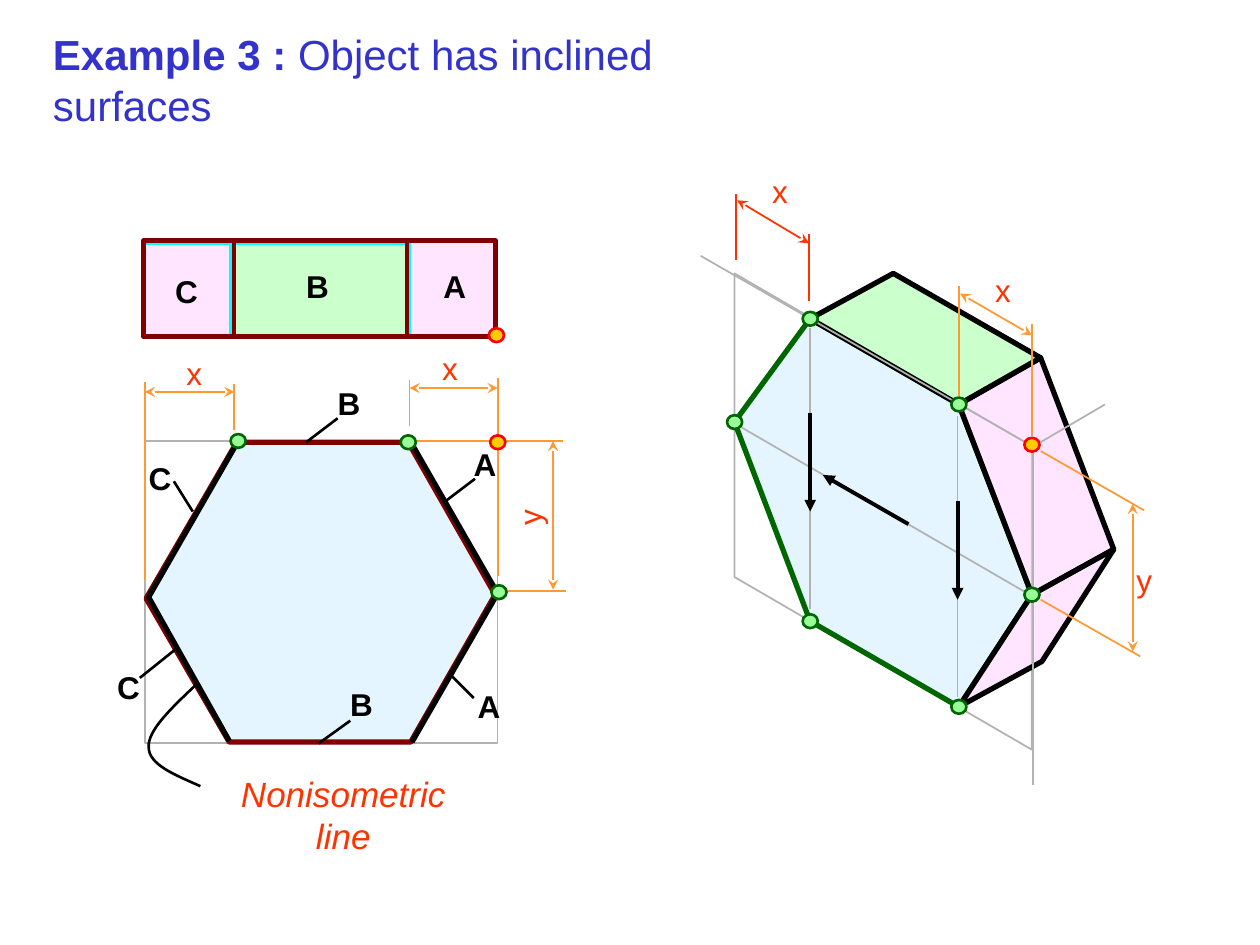
from lxml import etree
from pptx import Presentation
from pptx import util as u
from pptx.dml.color import RGBColor
from pptx.enum import shapes, text
from pptx.oxml import ns

Inches, Pt = u.Inches, u.Pt
COLORS = {
    "title": "3333CC", "red": "FF3300", "black": "000000", "grey": "B2B2B2",
    "orange": "FF9933", "maroon": "800000", "green": "006600", "cyan": "00FFFF",
    "blue_face": "CCECFF", "pink_face": "FFCCFF", "green_face": "99FF99",
    "yellow": "FFCC00", "dot_red": "FF0000",
}


def paint(sp, fill=None, line=None, width=1, solid=False):
    """Fill and outline a shape; faces are half transparent unless solid."""
    sp.shadow.inherit = False
    if fill:
        sp.fill.solid()
        sp.fill.fore_color.rgb = RGBColor.from_string(COLORS[fill])
        if not solid:
            clr = sp._element.spPr.find(".//" + ns.qn("a:srgbClr"))
            etree.SubElement(clr, ns.qn("a:alpha"), val="50000")
    else:
        sp.fill.background()
    if line:
        sp.line.color.rgb = RGBColor.from_string(COLORS[line])
        sp.line.width = Pt(width)
    else:
        sp.line.fill.background()


def write(p, words, color, **format_values):
    """Add a run in Arial with the given font attributes."""
    r = p.add_run()
    r.text = words
    r.font.color.rgb = RGBColor.from_string(COLORS[color])
    for name, value in {"name": "Arial", **format_values}.items():
        setattr(r.font, name, value)


prs = Presentation()
prs.slide_width, prs.slide_height = Inches(10), Inches(7.5)
slide = prs.slides.add_slide(prs.slide_layouts[5])
s = slide.shapes

# Title
title = s.title
title.left, title.top = Inches(0.32), Inches(0.18)
title.width, title.height = Inches(6.31), Inches(0.5)
tf = title.text_frame
tf.word_wrap = False
tf.vertical_anchor = text.MSO_ANCHOR.TOP
p = tf.paragraphs[0]
p.alignment = text.PP_ALIGN.LEFT
write(p, "Example 3 : ", "title", size=Pt(24), bold=True)
write(p, "Object has inclined surfaces", "title", size=Pt(24), bold=False)

# Front view frame and face, then the top view
RECT, HEXAGON = shapes.MSO_SHAPE.RECTANGLE, shapes.MSO_SHAPE.HEXAGON
for kind, x, y, w, h, fill, line, width in [
    (RECT, 1.15, 3.5, 2.8, 2.4, None, "grey", 1),
    (HEXAGON, 1.17, 3.51, 2.78, 2.4, "blue_face", None, 0),
    (RECT, 3.24, 1.92, 0.7, 0.75, "pink_face", "cyan", 1),
    (RECT, 1.85, 1.92, 1.39, 0.75, "green_face", "cyan", 3),
    (RECT, 1.14, 1.92, 0.7, 0.75, "pink_face", "cyan", 3),
    (RECT, 1.14, 1.91, 2.79, 0.76, None, "maroon", 3),
]:
    sp = s.add_shape(kind, Inches(x), Inches(y), Inches(w), Inches(h))
    if kind == HEXAGON:
        sp.adjustments[0] = 0.289
    paint(sp, fill, line, width)

# Corners of the isometric front face, and of the back edge
bottom, right, top_right = (7.61, 5.61), (8.19, 4.72), (7.61, 3.21)
top_left, left, bottom_left = (6.43, 2.53), (5.83, 3.35), (6.43, 4.93)
front_face = [bottom, right, top_right, top_left, left, bottom_left]
back_top_left, back_top = (7.09, 2.17), (8.26, 2.84)
back_right, back_bottom = (8.84, 4.36), (8.27, 5.25)

# Outlines and isometric faces
for points, closed, fill, line, width in [
    ([(8.19, 3.54), (5.83, 2.17), (5.83, 4.58), (8.19, 5.95)], True, None, "grey", 1),
    ([(1.88, 3.51), (3.24, 3.51), (3.93, 4.72), (3.26, 5.89), (1.82, 5.89), (1.16, 4.75)],
     True, None, "maroon", 3),
    (front_face, True, "blue_face", "green", 3),
    ([right, back_right, back_top, top_right], True, "pink_face", "black", 3),
    ([back_top_left, top_left, top_right, back_top], True, "green_face", "black", 3),
    ([back_bottom, bottom, right, back_right], True, "pink_face", "black", 3),
    ([(1.88, 3.52), (1.18, 4.74), (1.82, 5.88)], False, None, "black", 3),
    ([(3.25, 3.49), (3.95, 4.71), (3.27, 5.89)], False, None, "black", 3),
]:
    corners = [(Inches(x), Inches(y)) for x, y in points]
    fb = s.build_freeform(*corners[0])
    fb.add_line_segments(corners[1:], close=closed)
    paint(fb.convert_to_shape(), fill, line, width)

# Curved leader: each three segments become one Bezier curve
controls = [(1.39, 6.15), (1.18, 6.07), (1.18, 5.93), (1.17, 5.8), (1.36, 5.62), (1.55, 5.44)]
fb = s.build_freeform(Inches(1.59), Inches(6.24))
fb.add_line_segments([(Inches(x), Inches(y)) for x, y in controls], close=False)
leader = fb.convert_to_shape()
paint(leader, None, "black", 1.5)
segments = leader._element.xpath(".//a:lnTo")
for i in range(0, len(segments), 3):
    curve = etree.Element(ns.qn("a:cubicBezTo"))
    segments[i].addprevious(curve)
    for segment in segments[i:i + 3]:
        curve.append(segment[0])
        segment.getparent().remove(segment)

# Straight lines by style: color, width, head, tail, then their ends
for color, width, head, tail, ends in [
    # Isometric axes and construction lines
    ("grey", 1, None, None, [
        (8.2, 3.54, 8.2, 6.23), (8.19, 3.54, 5.56, 2.03), (8.19, 3.55, 8.77, 3.21),
        (6.43, 2.6, 6.43, 4.83), (7.6, 3.3, 7.6, 5.53), (8.19, 4.73, 5.83, 3.36)]),
    # Directions of construction
    ("black", 2.25, None, "triangle", [
        (6.43, 3.28, 6.43, 4.06), (7.6, 3.98, 7.6, 4.76), (7.21, 4.16, 6.53, 3.77)]),
    # Label leaders
    ("black", 1.5, None, None, [
        (3.77, 3.8, 3.52, 3.99), (2.68, 3.32, 2.43, 3.51), (3.76, 5.54, 3.57, 5.35),
        (2.78, 5.72, 2.53, 5.9), (1.38, 3.82, 1.53, 4.06), (1.11, 5.38, 1.41, 5.14)]),
    # Top view edges
    ("maroon", 2.25, None, None, [(x, 2.67, x, 1.9) for x in (1.86, 3.23)]),
    # Extension lines
    ("orange", 1, None, None, [
        (7.61, 3.14, 7.61, 2.27), (8.19, 3.46, 8.19, 2.57), (8.26, 3.58, 9.08, 4.05),
        (8.26, 4.76, 9.05, 5.21), (1.86, 3.05, 1.86, 3.41), (1.15, 4.6, 1.15, 3.03),
        (3.25, 3.02, 3.25, 3.38), (3.95, 4.57, 3.95, 3), (3.99, 4.69, 4.49, 4.69),
        (3.28, 3.5, 4.47, 3.5)]),
    ("red", 1, None, None, [(5.84, 2.06, 5.84, 1.54), (6.42, 2.39, 6.42, 1.86)]),
    # Dimension lines
    ("orange", 1, "stealth", "stealth", [
        (8.19, 2.66, 7.62, 2.33), (8.99, 4, 8.99, 5.17), (1.15, 3.11, 1.86, 3.11),
        (3.95, 3.08, 3.25, 3.08), (4.39, 3.5, 4.39, 4.68)]),
    ("red", 1, "stealth", "stealth", [(6.42, 1.93, 5.85, 1.59)]),
]:
    for end in ends:
        cn = s.add_connector(shapes.MSO_CONNECTOR.STRAIGHT, *map(Inches, end))
        cn.line.color.rgb = RGBColor.from_string(COLORS[color])
        cn.line.width = Pt(width)
        spPr = cn._element.spPr
        for tag, arrow in (("a:headEnd", head), ("a:tailEnd", tail)):
            if arrow:
                etree.SubElement(spPr.find(ns.qn("a:ln")), ns.qn(tag), type=arrow)
        etree.SubElement(spPr, ns.qn("a:effectLst"))

# Corner dots
for fill, line, centers in [
    ("green_face", "green", front_face + [(1.89, 3.5), (3.24, 3.51), (3.96, 4.7)]),
    ("yellow", "dot_red", [(8.19, 3.53), (3.95, 3.51), (3.94, 2.66)]),
]:
    for x, y in centers:
        dot = s.add_shape(shapes.MSO_SHAPE.OVAL, Inches(x - 0.06), Inches(y - 0.055),
                          Inches(0.12), Inches(0.11))
        paint(dot, fill, line, 1.5, solid=True)

# Surface letters, dimension letters and the caption
surface = {"color": "black", "size": Pt(18), "bold": True}
dimension = {"color": "red", "size": Pt(18)}
caption = {"color": "red", "size": Pt(20), "italic": True}
for words, w, h, style, places in [
    ("A", 0.38, 0.4, surface, [(3.66, 3.48), (3.42, 2.07), (3.69, 5.4)]),
    ("B", 0.38, 0.4, surface, [(2.58, 3), (2.33, 2.07), (2.68, 5.39)]),
    ("C", 0.38, 0.4, surface, [(1.08, 3.59), (0.83, 5.25), (1.29, 2.11)]),
    ("x", 0.32, 0.4, dimension, [(7.8, 2.1), (6.03, 1.32), (1.38, 2.76), (3.41, 2.72)]),
    ("y", 0.32, 0.4, dimension, [(8.92, 4.4), (4.04, 3.91, 270)]),
    ("Nonisometric line", 2.33, 0.44, caption, [(1.56, 6.08)]),
]:
    for x, y, *turn in places:
        tb = s.add_textbox(Inches(x), Inches(y), Inches(w), Inches(h))
        tb.rotation = sum(turn)
        tf = tb.text_frame
        tf.word_wrap = False
        tf.auto_size = text.MSO_AUTO_SIZE.SHAPE_TO_FIT_TEXT
        p = tf.paragraphs[0]
        p.alignment = text.PP_ALIGN.CENTER
        write(p, words, **style)

prs.save("out.pptx")
